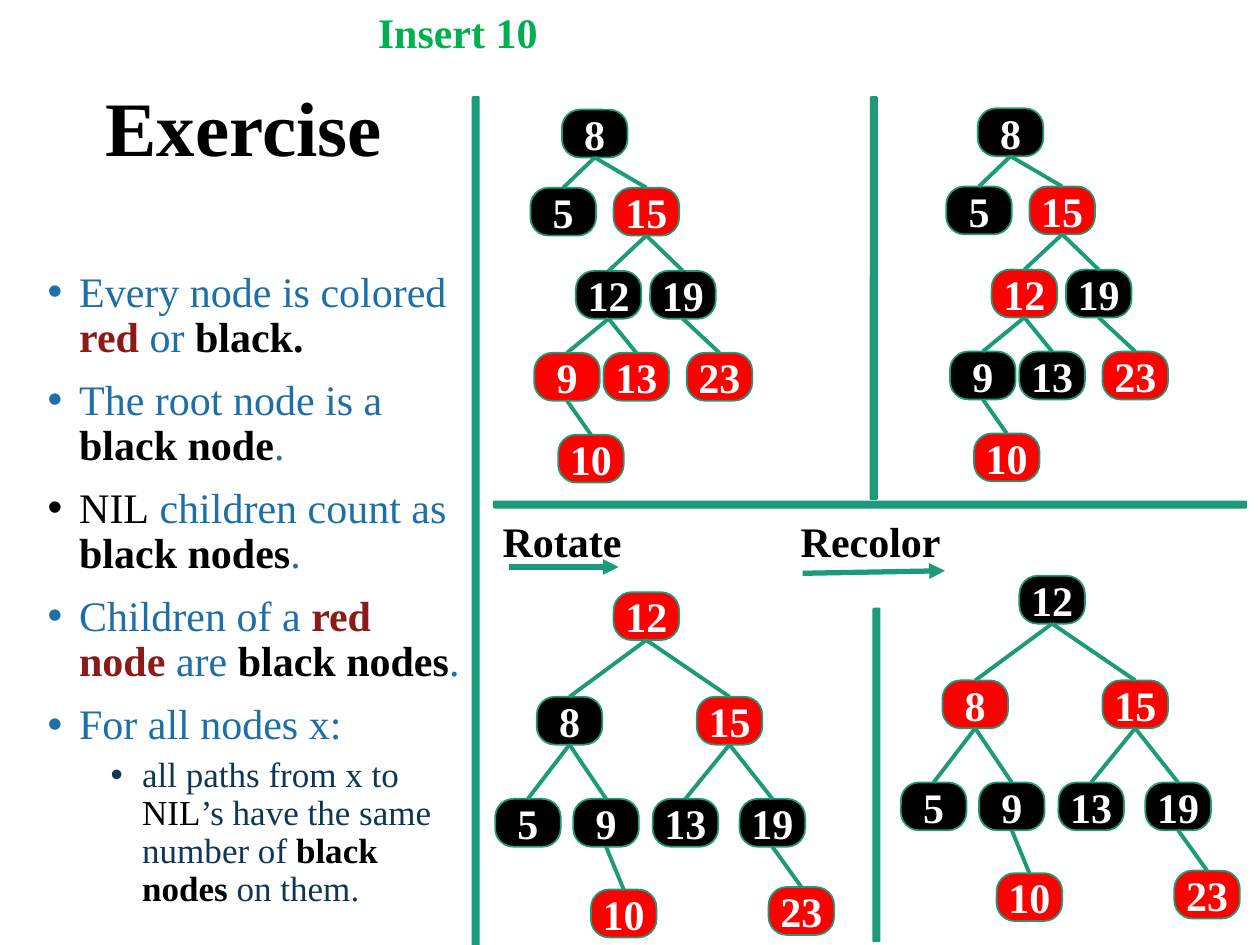
from collections import namedtuple

from lxml import etree
from pptx import Presentation
from pptx import util as u
from pptx.dml.color import RGBColor
from pptx.enum import shapes, text
from pptx.oxml import ns

BLACK = RGBColor(0x00, 0x00, 0x00)
WHITE = RGBColor(0xFF, 0xFF, 0xFF)
RED = RGBColor(0xFF, 0x00, 0x00)
DARK_RED = RGBColor(0x8B, 0x1B, 0x17)
BLUE = RGBColor(0x1D, 0x6F, 0xA9)
NAVY = RGBColor(0x0F, 0x37, 0x54)
GREEN = RGBColor(0x00, 0xB0, 0x50)
TEAL = RGBColor(0x1D, 0x9A, 0x78)
FONT = "Times New Roman"

NODE_WIDTH, NODE_HEIGHT = 0.52, 0.38

Box = namedtuple("Box", "left top width height")
Span = namedtuple("Span", "words color bold", defaults=(False,))

RULES = [
    (0, [Span("Every node is colored ", BLUE), Span("red", DARK_RED, True),
         Span(" or ", BLUE), Span("black.", BLACK, True)]),
    (0, [Span("The root node is a ", BLUE), Span("black node", BLACK, True),
         Span(".", BLUE)]),
    (0, [Span("NIL", BLACK), Span(" children count as ", BLUE),
         Span("black nodes", BLACK, True), Span(".", BLUE)]),
    (0, [Span("Children of a ", BLUE), Span("red node ", DARK_RED, True),
         Span("are ", BLUE), Span("black nodes", BLACK, True), Span(".", BLUE)]),
    (0, [Span("For all nodes x:", BLUE)]),
    (1, [Span("all paths from x to ", NAVY), Span("NIL", BLACK),
         Span("’s have the same number of ", NAVY),
         Span("black nodes ", BLACK, True), Span("on them.", NAVY)]),
]

INSERTED_PLACES = {
    8: (0.25, 0), 5: (0, 0.62), 15: (0.66, 0.62), 12: (0.36, 1.28),
    19: (0.95, 1.28), 9: (0.03, 1.93), 13: (0.58, 1.93), 23: (1.24, 1.93),
    10: (0.22, 2.58),
}
INSERTED_EDGES = [(8, 5), (8, 15), (15, 12), (15, 19), (12, 9), (12, 13),
                  (19, 23), (9, 10)]
ROTATED_PLACES = {
    12: (0.94, 0), 8: (0.33, 0.83), 15: (1.6, 0.83), 5: (0, 1.64),
    9: (0.62, 1.64), 13: (1.25, 1.64), 19: (1.94, 1.64), 10: (0.76, 2.36),
    23: (2.17, 2.34),
}
ROTATED_EDGES = [(12, 8), (12, 15), (8, 5), (8, 9), (15, 13), (15, 19),
                 (9, 10), (19, 23)]


def inches(*lengths):
    return [u.Inches(length) for length in lengths]


def add_span(para, span, size):
    run = para.add_run()
    run.text = span.words
    run.font.name = FONT
    run.font.size = u.Pt(size)
    run.font.bold = span.bold
    run.font.color.rgb = span.color


def add_text_frame(page, box, anchor=text.MSO_ANCHOR.TOP):
    frame = page.shapes.add_textbox(*inches(*box)).text_frame
    frame.word_wrap = True
    frame.vertical_anchor = anchor
    return frame


def add_label(page, box, words, size, color):
    para = add_text_frame(page, box, text.MSO_ANCHOR.MIDDLE).paragraphs[0]
    para.line_spacing = 0.9
    add_span(para, Span(words, color, True), size)


def add_rules(page, box):
    frame = add_text_frame(page, box)
    for index, (level, spans) in enumerate(RULES):
        para = frame.add_paragraph() if index else frame.paragraphs[0]
        para.level = level
        props = para._p.get_or_add_pPr()
        props.set("marL", str(u.Inches(0.25 + 0.5 * level)))
        props.set("indent", str(u.Inches(-0.25)))
        etree.SubElement(props, ns.qn("a:buFont"), typeface="Arial")
        etree.SubElement(props, ns.qn("a:buChar"), char="•")
        para.line_spacing = 0.9
        if index:
            para.space_before = u.Pt(5 if level else 10)
        for span in spans:
            add_span(para, span, 20 if level else 24)


def add_filled_shape(page, kind, box, color):
    shape = page.shapes.add_shape(kind, *inches(*box))
    shape.shadow.inherit = False
    shape.fill.solid()
    shape.fill.fore_color.rgb = color
    shape.line.color.rgb = TEAL
    shape.line.width = u.Pt(1)
    return shape


def add_divider(page, box):
    bar = add_filled_shape(page, shapes.MSO_SHAPE.ROUND_1_RECTANGLE, box, TEAL)
    frame = bar.element.spPr.get_or_add_xfrm()
    frame.set("flipH", "1")
    if box.width > box.height:
        frame.set("flipV", "1")


def add_line(page, start, end, width):
    line = page.shapes.add_connector(
        shapes.MSO_CONNECTOR.STRAIGHT, *inches(*start, *end))
    line.line.color.rgb = TEAL
    line.line.width = u.Pt(width)
    etree.SubElement(line.element.spPr, ns.qn("a:effectLst"))
    return line


def add_step(page, box, words, start, end):
    arrow = add_line(page, start, end, 3)
    etree.SubElement(arrow.line._get_or_add_ln(), ns.qn("a:tailEnd"),
                     type="triangle")
    para = add_text_frame(page, box).paragraphs[0]
    para.alignment = text.PP_ALIGN.CENTER
    add_span(para, Span(words, BLACK, True), 24)


def add_node(page, left, top, key, color):
    node = add_filled_shape(page, shapes.MSO_SHAPE.ROUNDED_RECTANGLE,
                            Box(left, top, NODE_WIDTH, NODE_HEIGHT), color)
    node.adjustments[0] = 0.38
    frame = node.text_frame
    frame.margin_left = frame.margin_right = 0
    frame.margin_top = frame.margin_bottom = 0
    frame.word_wrap = True
    frame.vertical_anchor = text.MSO_ANCHOR.MIDDLE
    para = frame.paragraphs[0]
    para.alignment = text.PP_ALIGN.CENTER
    add_span(para, Span(str(key), WHITE, True), 24)
    return node


def add_tree(page, left, top, places, edges, red_keys):
    nodes = {
        key: add_node(page, left + across, top + down, key,
                      RED if key in red_keys else BLACK)
        for key, (across, down) in places.items()
    }
    for parent, child in edges:
        edge = add_line(page, (left, top), (left, top), 2.25)
        edge.begin_connect(nodes[parent], 2)
        edge.end_connect(nodes[child], 0)


def main():
    deck = Presentation()
    deck.slide_width, deck.slide_height = inches(10, 7.5)
    page = deck.slides.add_slide(deck.slide_layouts[6])

    add_label(page, Box(0.74, 0.65, 2.45, 0.78), "Exercise", 44, BLACK)
    add_label(page, Box(2.9, 0.06, 1.78, 0.43), "Insert 10", 24, GREEN)
    add_rules(page, Box(0.28, 2.1, 3.52, 5.3))

    for box in (Box(3.75, 0.77, 0.05, 6.73), Box(3.92, 3.98, 5.97, 0.05),
                Box(6.91, 0.77, 0.05, 3.19), Box(6.93, 4.83, 0.05, 2.64)):
        add_divider(page, box)

    add_step(page, Box(3.8, 4.04, 1.32, 0.5), "Rotate", (4.04, 4.5), (4.91, 4.5))
    add_step(page, Box(6.25, 4.04, 1.32, 0.5), "Recolor", (6.37, 4.55), (7.5, 4.53))

    add_tree(page, 4.21, 0.87, INSERTED_PLACES, INSERTED_EDGES, {15, 9, 13, 23, 10})
    add_tree(page, 7.51, 0.86, INSERTED_PLACES, INSERTED_EDGES, {15, 12, 23, 10})
    add_tree(page, 3.93, 4.7, ROTATED_PLACES, ROTATED_EDGES, {12, 15, 10, 23})
    add_tree(page, 7.15, 4.57, ROTATED_PLACES, ROTATED_EDGES, {8, 15, 10, 23})

    deck.save("out.pptx")


if __name__ == "__main__":
    main()
